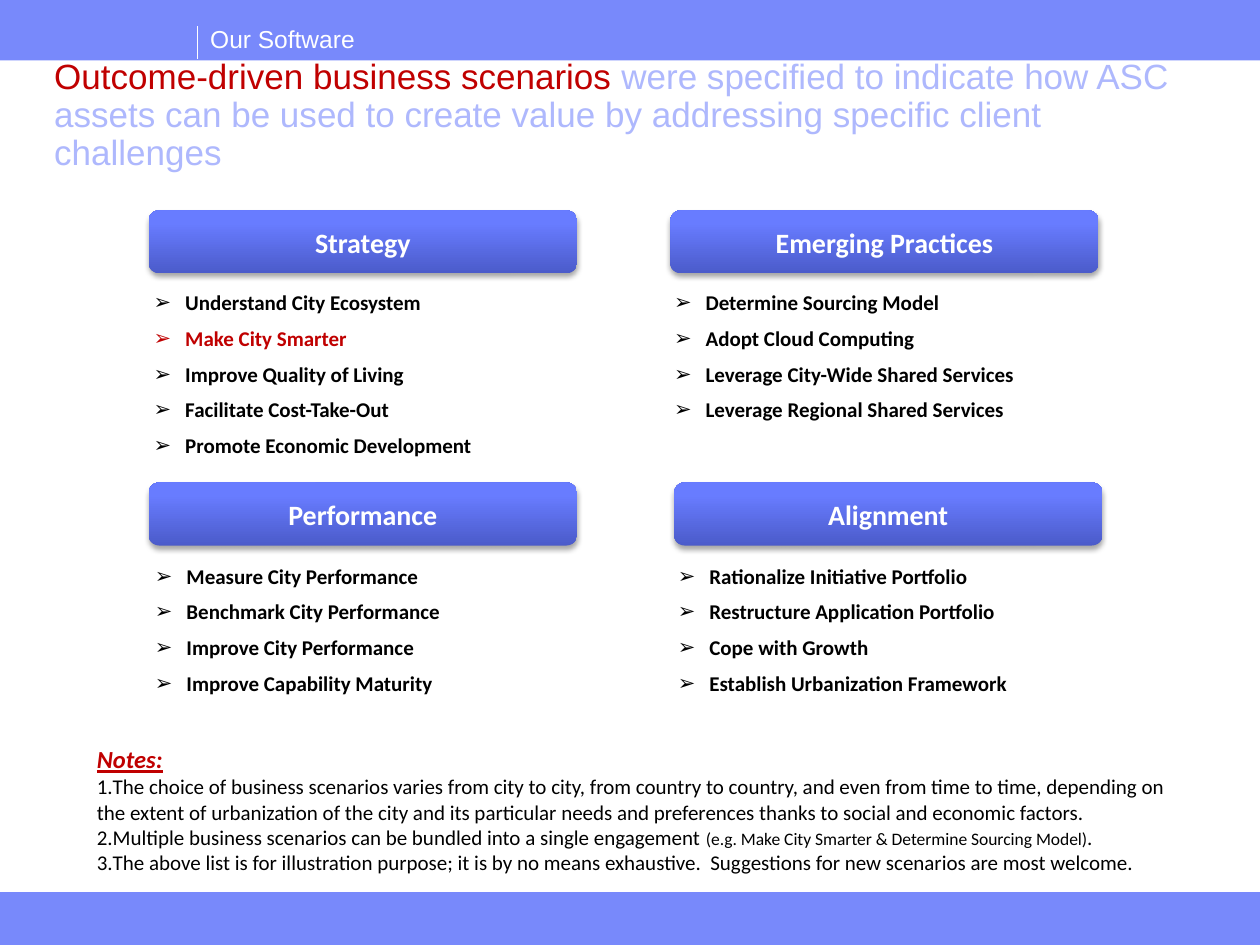
from copy import deepcopy
from dataclasses import dataclass

from lxml.etree import SubElement
from pptx import Presentation
from pptx.dml.color import RGBColor
from pptx.enum.shapes import MSO_CONNECTOR, MSO_SHAPE
from pptx.enum.text import MSO_ANCHOR, MSO_AUTO_SIZE, PP_ALIGN
from pptx.oxml.ns import qn
from pptx.util import Inches, Pt


@dataclass(frozen=True)
class Theme:
    band: str = "7889FB"
    title: str = "AEB8FD"
    accent: str = "C00000"
    text: str = "000000"
    light: str = "FFFFFF"
    heading_stops: tuple = ((0, "4B5BCA"), (0.8, "687CFF"), (1, "6A7DFF"))
    title_font: str = "Arial"
    body_font: str = "Calibri"
    title_size: int = 20
    heading_size: int = 16
    label_size: int = 14
    body_size: int = 12
    aside_size: int = 10


THEME = Theme()
COMPARISON_LAYOUT = 4

# heading, heading position, list position, items
SCENARIOS = [
    ("Strategy", (1.18, 1.67), (1.17, 2.25),
     ["Understand City Ecosystem", "Make City Smarter", "Improve Quality of Living",
      "Facilitate Cost-Take-Out", "Promote Economic Development"]),
    ("Emerging Practices", (5.32, 1.67), (5.3, 2.25),
     ["Determine Sourcing Model", "Adopt Cloud Computing",
      "Leverage City-Wide Shared Services", "Leverage Regional Shared Services"]),
    ("Performance", (1.18, 3.83), (1.18, 4.42),
     ["Measure City Performance", "Benchmark City Performance",
      "Improve City Performance", "Improve Capability Maturity"]),
    ("Alignment", (5.35, 3.83), (5.33, 4.42),
     ["Rationalize Initiative Portfolio", "Restructure Application Portfolio",
      "Cope with Growth", "Establish Urbanization Framework"]),
]
HIGHLIGHTED = "Make City Smarter"

# each note is a list of (text, size)
NOTES = [
    [("The choice of business scenarios varies from city to city, from country to country, "
      "and even from time to time, depending on the extent of urbanization of the city and its "
      "particular needs and preferences thanks to social and economic factors.",
      THEME.body_size)],
    [("Multiple business scenarios can be bundled into a single engagement ", THEME.body_size),
     ("(e.g. Make City Smarter & Determine Sourcing Model)", THEME.aside_size),
     (".", THEME.body_size)],
    [("The above list is for illustration purpose; it is by no means exhaustive.  "
      "Suggestions for new scenarios are most welcome.", THEME.body_size)],
]


def rgb(value):
    return RGBColor.from_string(value)


def set_font(font, name, size, color, bold=False):
    font.name, font.size, font.bold = name, Pt(size), bold
    font.color.rgb = rgb(color)


def place(shape, left, top, width, height):
    shape.left, shape.top = Inches(left), Inches(top)
    shape.width, shape.height = Inches(width), Inches(height)


def add_band(slide, top, height):
    band = slide.shapes.add_shape(
        MSO_SHAPE.RECTANGLE, 0, Inches(top), Inches(10), Inches(height))
    band.shadow.inherit = False
    band.fill.solid()
    band.fill.fore_color.rgb = rgb(THEME.band)
    band.line.fill.background()


def add_header(slide):
    divider = slide.shapes.add_connector(
        MSO_CONNECTOR.STRAIGHT, Inches(1.57), Inches(0.21), Inches(1.57), Inches(0.47))
    divider.line.color.rgb = rgb(THEME.light)
    divider.line.width = Pt(0.75)
    SubElement(divider._element.spPr, qn("a:effectLst"))

    unit = slide.shapes.add_textbox(Inches(1.57), Inches(0.14), Inches(1.96), Inches(0.33))
    name = unit.text_frame.paragraphs[0]
    name.text = "Our Software"
    set_font(name.font, THEME.title_font, THEME.label_size, THEME.light)


def fill_title(slide):
    title = slide.shapes.title
    place(title, 0.33, 0.42, 9.42, 1.02)
    frame = title.text_frame
    frame.auto_size = MSO_AUTO_SIZE.NONE
    frame.vertical_anchor = MSO_ANCHOR.TOP
    statement = frame.paragraphs[0]
    statement.alignment = PP_ALIGN.LEFT
    statement.line_spacing = 0.9
    for text, color in (
        ("Outcome-driven business scenarios ", THEME.accent),
        ("were specified to indicate how ASC assets can be used to create value "
         "by addressing specific client challenges", THEME.title),
    ):
        run = statement.add_run()
        run.text = text
        set_font(run.font, THEME.title_font, THEME.title_size, color)


def apply_gradient(shape, stops):
    """Fill from the bottom edge up with (position, colour) stops."""
    shape.fill.gradient()
    shape.fill.gradient_angle = 90
    stop_list = shape._element.spPr.find(qn("a:gradFill")).find(qn("a:gsLst"))
    while len(stop_list) < len(stops):
        stop_list.append(deepcopy(stop_list[-1]))
    for stop, (position, color) in zip(shape.fill.gradient_stops, stops):
        stop.position = position
        stop.color.rgb = rgb(color)


def apply_shadow(shape):
    shape.shadow.inherit = False
    effects = shape._element.spPr.find(qn("a:effectLst"))
    shadow = SubElement(effects, qn("a:outerShdw"), blurRad=str(Pt(3.1)),
                        dist=str(Pt(1.8)), dir="5400000", rotWithShape="0")
    black = SubElement(shadow, qn("a:srgbClr"), val="000000")
    SubElement(black, qn("a:alpha"), val="35000")


def add_heading(slide, text, left, top):
    heading = slide.shapes.add_shape(
        MSO_SHAPE.ROUNDED_RECTANGLE, Inches(left), Inches(top), Inches(3.4), Inches(0.5))
    apply_gradient(heading, THEME.heading_stops)
    heading.line.fill.background()
    apply_shadow(heading)
    heading.text_frame.vertical_anchor = MSO_ANCHOR.MIDDLE
    caption = heading.text_frame.paragraphs[0]
    caption.text = text
    caption.alignment = PP_ALIGN.CENTER
    set_font(caption.font, THEME.body_font, THEME.heading_size, THEME.light, bold=True)


def set_bullet(paragraph, tag, indent, **attributes):
    properties = paragraph._p.get_or_add_pPr()
    properties.set("marL", str(Inches(indent)))
    properties.set("indent", str(-Inches(indent)))
    SubElement(properties, qn(tag), **attributes)


def fill_list(placeholder, items, left, top):
    place(placeholder, left, top, 3.4, 1.5)
    frame = placeholder.text_frame
    frame.auto_size = MSO_AUTO_SIZE.NONE
    frame.vertical_anchor = MSO_ANCHOR.TOP
    frame.margin_left = frame.margin_right = Inches(0.05)
    frame.margin_top = frame.margin_bottom = Inches(0.05)
    for index, text in enumerate(items):
        item = frame.add_paragraph() if index else frame.paragraphs[0]
        item.text = text
        set_bullet(item, "a:buChar", 0.25, char="➢")
        item.space_before = Pt(3 if index else 0)
        item.space_after = Pt(3)
        color = THEME.accent if text == HIGHLIGHTED else THEME.text
        set_font(item.font, THEME.body_font, THEME.body_size, color, bold=True)


def add_notes(slide):
    box = slide.shapes.add_textbox(Inches(0.67), Inches(5.86), Inches(8.75), Inches(1.14))
    frame = box.text_frame
    frame.word_wrap = True
    label = frame.paragraphs[0]
    label.text = "Notes:"
    set_font(label.font, THEME.body_font, THEME.label_size, THEME.accent, bold=True)
    label.font.italic = label.font.underline = True
    for parts in NOTES:
        note = frame.add_paragraph()
        set_bullet(note, "a:buAutoNum", 0, type="arabicPeriod")
        for text, size in parts:
            run = note.add_run()
            run.text = text
            set_font(run.font, THEME.body_font, size, THEME.text)


def main():
    deck = Presentation()
    deck.slide_width, deck.slide_height = Inches(10), Inches(7.5)
    slide = deck.slides.add_slide(deck.slide_layouts[COMPARISON_LAYOUT])
    add_band(slide, 0, 0.48)
    add_band(slide, 7.08, 0.42)
    add_header(slide)
    fill_title(slide)
    lists = list(slide.placeholders)[1:]
    for placeholder, (heading, heading_at, list_at, items) in zip(lists, SCENARIOS):
        add_heading(slide, heading, *heading_at)
        fill_list(placeholder, items, *list_at)
    add_notes(slide)
    deck.save("out.pptx")


if __name__ == "__main__":
    main()
